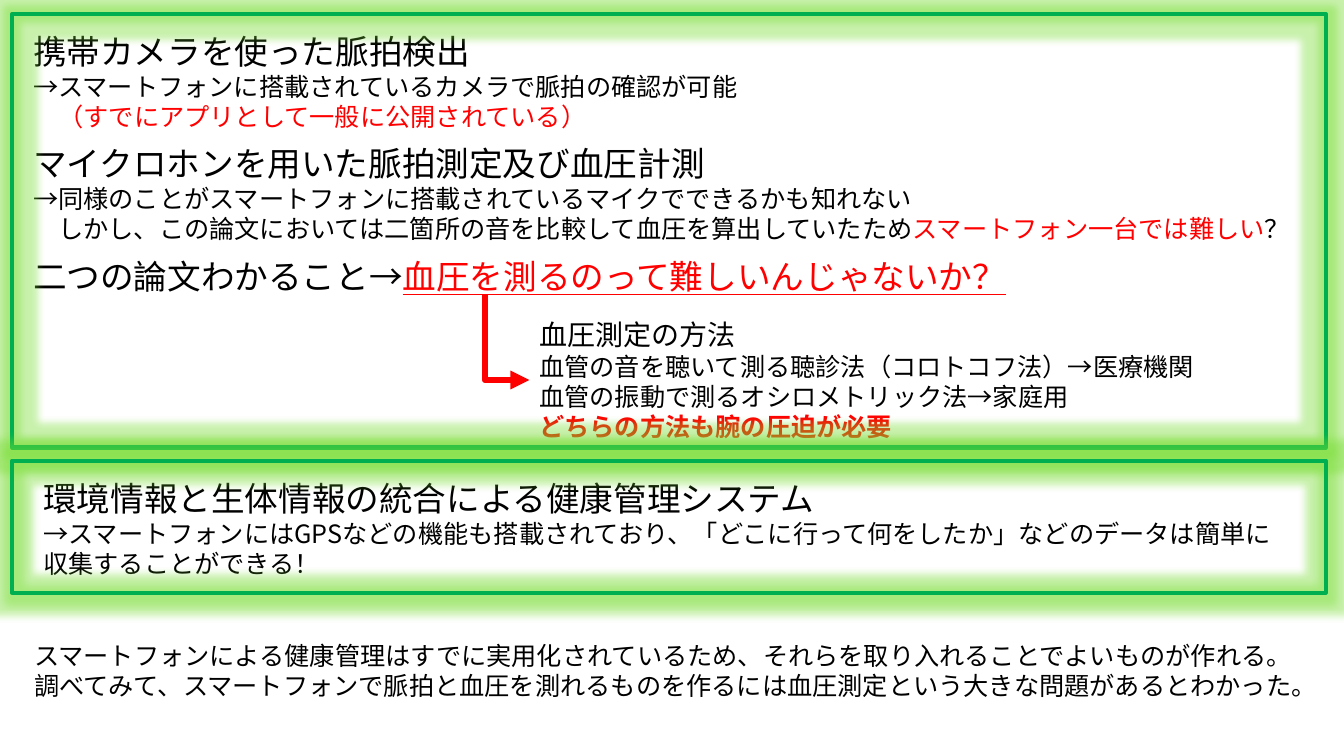
from lxml import etree
from pptx import Presentation
from pptx.dml.color import RGBColor
from pptx.enum.shapes import MSO_CONNECTOR as Link, MSO_SHAPE as Shape
from pptx.enum.text import MSO_AUTO_SIZE as Fit
from pptx.oxml import parse_xml
from pptx.oxml.ns import nsdecls, qn
from pptx.util import Inches, Pt

FONT = "Noto Sans CJK JP"
BLACK = RGBColor(0x00, 0x00, 0x00)
RED = RGBColor(0xFF, 0x00, 0x00)
GREEN = RGBColor(0x00, 0xB0, 0x50)
GLOW = RGBColor(0x76, 0xDD, 0x30)

PLAIN = {"color": BLACK}
ALERT = {"color": RED}
LINED = {"color": RED, "underline": True}
STRONG = {"color": RED, "bold": True}

# Content: (left, top, width, height), then paragraphs of (size, [(text, style)])
NOTES = [
    ((0.23, 0.26, 7.27, 1.11), [
        (24, [("携帯カメラを使った脈拍検出", PLAIN)]),
        (18, [("→スマートフォンに搭載されているカメラで脈拍の確認が可能", PLAIN)]),
        (18, [("　", PLAIN), ("（すでにアプリとして一般に公開されている）", ALERT)]),
    ]),
    ((0.23, 1.37, 12.82, 1.11), [
        (24, [("マイクロホンを用いた脈拍測定及び血圧計測", PLAIN)]),
        (18, [("→同様のことがスマートフォンに搭載されているマイクでできるかも知れない", PLAIN)]),
        (18, [("　しかし、この論文においては二箇所の音を比較して血圧を算出していたため", PLAIN),
              ("スマートフォン一台では難しい", ALERT), ("？", PLAIN)]),
    ]),
    ((0.23, 2.49, 9.96, 0.5), [
        (24, [("二つの論文わかること→", PLAIN),
              ("血圧を測るのって難しいんじゃないか？", LINED)]),
    ]),
    ((5.25, 3.1, 7.72, 1.35), [
        (20, [("血圧測定の方法", PLAIN)]),
        (18, [("血管の音を聴いて測る聴診法（コロトコフ法）→医療機関", PLAIN)]),
        (18, [("血管の振動で測るオシロメトリック法→家庭用", PLAIN)]),
        (18, [("どちらの方法も腕の圧迫が必要", STRONG)]),
    ]),
    ((0.33, 4.69, 12.61, 1.41), [
        (24, [("環境情報と生体情報の統合による健康管理システム", PLAIN)]),
        (18, [("→スマートフォンにはGPSなどの機能も搭載されており、"
               "「どこに行って何をしたか」などのデータは簡単に収集することができる！", PLAIN)]),
    ]),
    ((0.24, 6.3, 12.84, 0.71), [
        (18, [("スマートフォンによる健康管理はすでに実用化されているため、"
               "それらを取り入れることでよいものが作れる。", PLAIN)]),
        (18, [("調べてみて、スマートフォンで脈拍と血圧を測れるものを作るには"
               "血圧測定という大きな問題があるとわかった。", PLAIN)]),
    ]),
]
FRAMES = [(0.12, 0.14, 13.03, 4.3), (0.12, 4.57, 13.03, 1.31)]
START, END = (4.81, 2.93), (5.25, 3.77)


def add_note(slide, place, lines):
    frame = slide.shapes.add_textbox(*map(Inches, place)).text_frame
    frame.word_wrap = True
    frame.auto_size = Fit.SHAPE_TO_FIT_TEXT
    for i, (size, parts) in enumerate(lines):
        para = frame.paragraphs[0] if i == 0 else frame.add_paragraph()
        for text, style in parts:
            run = para.add_run()
            run.text = text
            font = run.font
            font.name, font.size = FONT, Pt(size)
            font.color.rgb = style["color"]
            if "bold" in style:
                font.bold = True
            if "underline" in style:
                font.underline = True
            # East Asian typeface follows the Latin one
            latin = font._element.find(qn("a:latin"))
            east = etree.Element(qn("a:ea"), typeface=FONT)
            latin.addnext(east)


def add_frame(slide, place):
    box = slide.shapes.add_shape(Shape.RECTANGLE, *map(Inches, place))
    box.fill.background()
    box.line.color.rgb = GREEN
    box.line.width = Pt(3)
    box.shadow.inherit = False
    effects = box._element.spPr.find(qn("a:effectLst"))
    effects.append(parse_xml(
        f'<a:glow {nsdecls("a")} rad="{Pt(11)}"><a:srgbClr val="{GLOW}">'
        '<a:alpha val="40000"/></a:srgbClr></a:glow>'))


def add_bend(slide, start, end):
    # A quarter turn makes the bend go down first, then right
    (x1, y1), (x2, y2) = start, end
    mid_x, mid_y = (x1 + x2) / 2, (y1 + y2) / 2
    half_w, half_h = (y2 - y1) / 2, (x2 - x1) / 2
    bend = slide.shapes.add_connector(
        Link.ELBOW, Inches(mid_x + half_w), Inches(mid_y - half_h),
        Inches(mid_x - half_w), Inches(mid_y + half_h))
    bend.line.color.rgb = RED
    bend.line.width = Pt(4.5)
    props = bend._element.spPr
    props.find(qn("a:xfrm")).set("rot", str(270 * 60000))
    props.find(qn("a:prstGeom")).set("prst", "bentConnector2")
    etree.SubElement(props.find(qn("a:ln")), qn("a:tailEnd"), type="triangle")
    etree.SubElement(props, qn("a:effectLst"))


def main():
    deck = Presentation()
    deck.slide_width, deck.slide_height = Inches(13.33), Inches(7.5)
    slide = deck.slides.add_slide(deck.slide_layouts[6])

    # Notes, then the arrow and the glowing frames
    for place, lines in NOTES:
        add_note(slide, place, lines)
    add_bend(slide, START, END)
    for place in FRAMES:
        add_frame(slide, place)
    deck.save("out.pptx")


if __name__ == "__main__":
    main()
